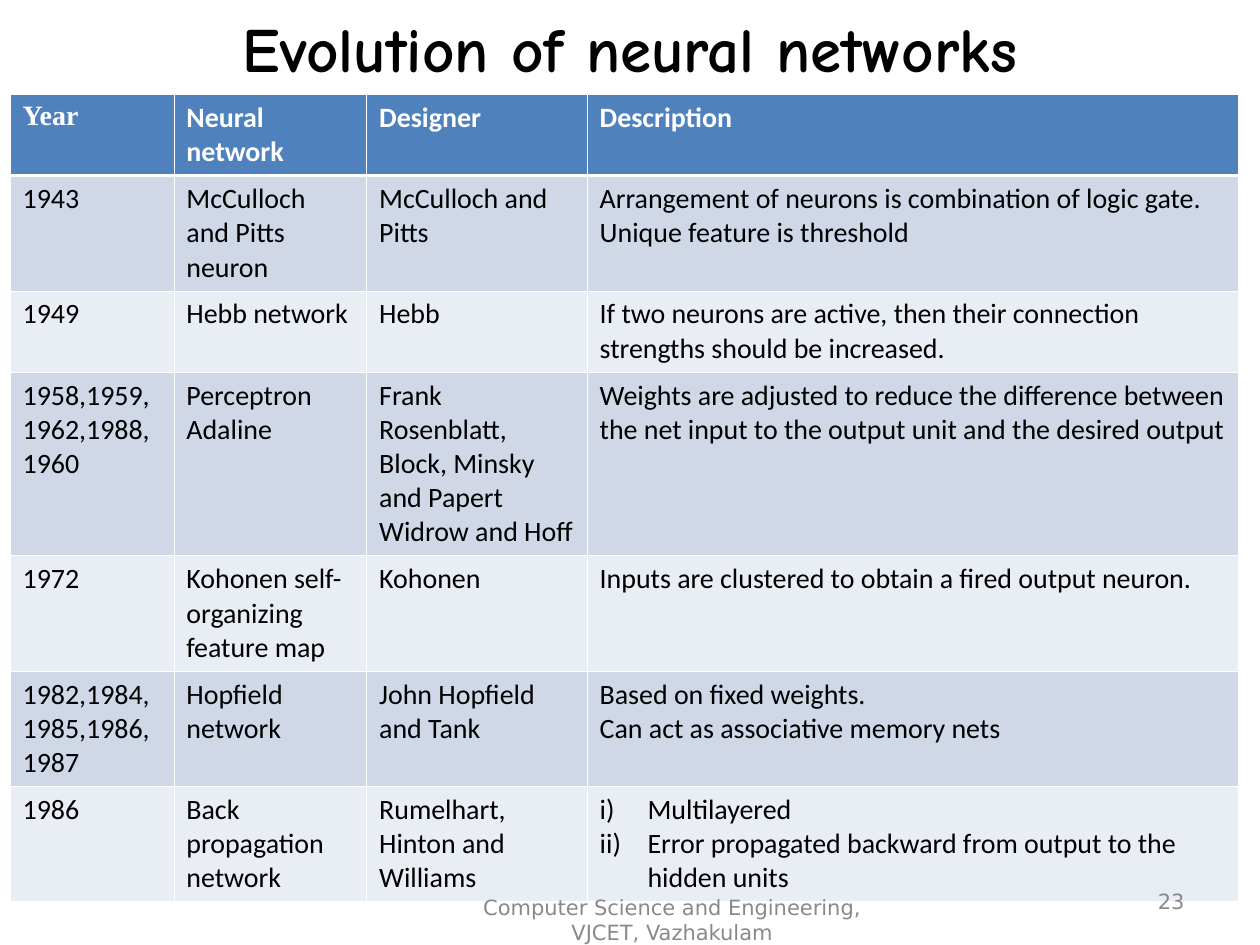
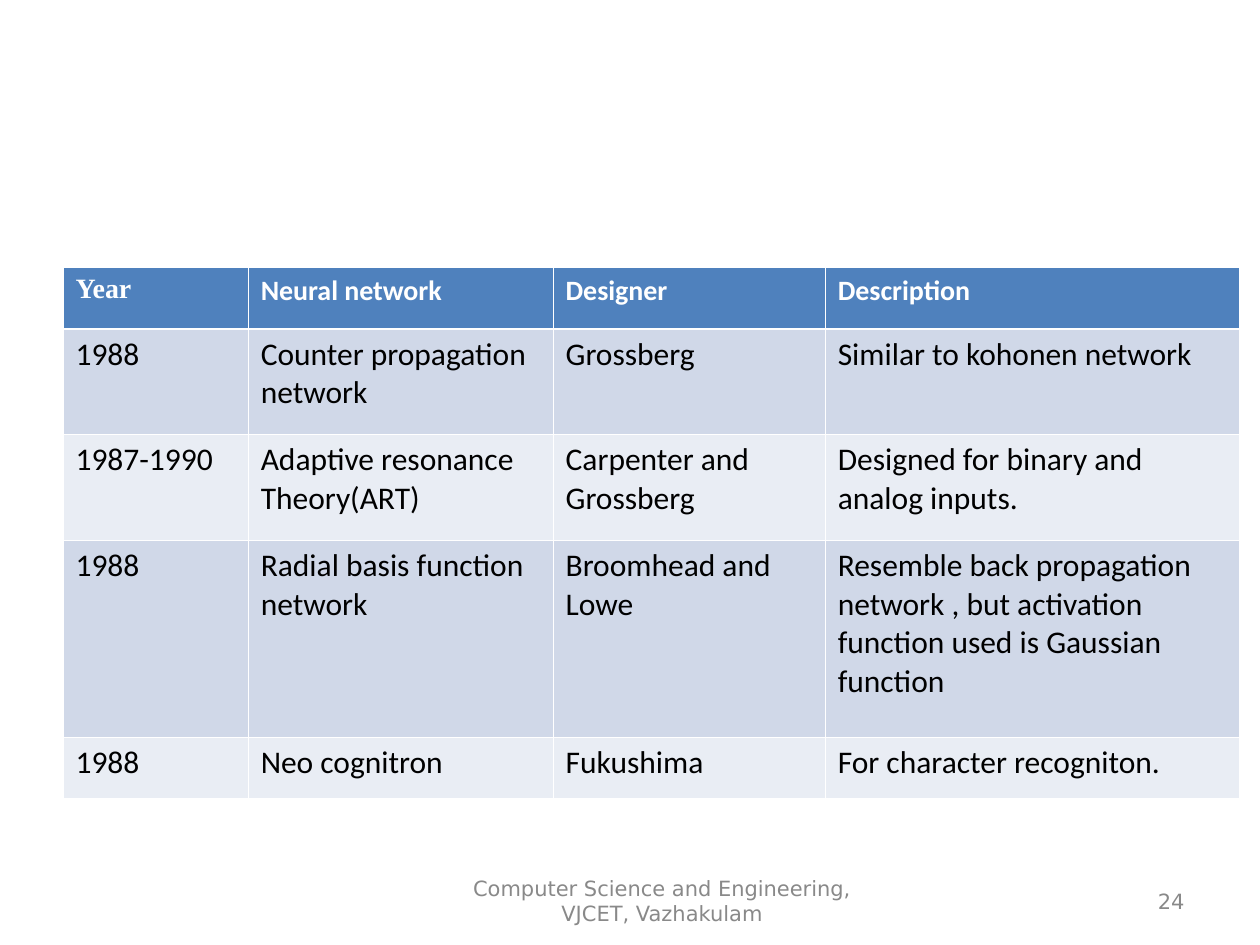
from lxml import etree
from pptx import Presentation
from pptx.dml.color import RGBColor
from pptx.enum import text
from pptx.oxml import ns
from pptx.util import Inches, Pt

COLORS = {
    "title": "000000",
    "header": "4F81BD",
    "header_text": "FFFFFF",
    "band_dark": "D0D8E8",
    "band_light": "E9EDF4",
    "body_text": "000000",
    "border": "FFFFFF",
    "footer": "898989",
}
TITLE_FONT, BODY_FONT, YEAR_FONT, FOOTER_FONT = (
    "Comic Neue", "Calibri", "Times New Roman", "DejaVu Sans")
HEADER_SIZE = 16
THIN, THICK = 0.45, 1.47
FOOTER = "Computer Science and Engineering, VJCET, Vazhakulam"
HEADINGS = ("Year", "Neural network", "Designer", "Description")

# A line break separates paragraphs; a tuple is a numbered list.
EARLY_NETWORKS = [
    ("1943", "McCulloch and Pitts neuron", "McCulloch and Pitts",
     "Arrangement of neurons is combination of logic gate. "
     "Unique feature is threshold"),
    ("1949", "Hebb network", "Hebb",
     "If two neurons are active, then their connection strengths "
     "should be increased."),
    ("1958,1959,1962,1988,1960", "Perceptron\nAdaline",
     "Frank Rosenblatt, Block, Minsky and Papert Widrow and Hoff",
     "Weights are adjusted to reduce the difference between the net input "
     "to the output unit and the desired output"),
    ("1972", "Kohonen self-organizing feature map", "Kohonen",
     "Inputs are clustered to obtain a fired output neuron."),
    ("1982,1984,\n1985,1986,1987", "Hopfield network",
     "John Hopfield and Tank",
     "Based on fixed weights.\nCan act as associative memory nets"),
    ("1986", "Back propagation network", "Rumelhart, Hinton and Williams",
     ("Multilayered",
      "Error propagated backward from output to the hidden units")),
]
LATER_NETWORKS = [
    ("1988", "Counter propagation network", "Grossberg",
     "Similar to kohonen network"),
    ("1987-1990", "Adaptive resonance Theory(ART)",
     "Carpenter and Grossberg", "Designed for binary and analog inputs."),
    ("1988", "Radial basis function network", "Broomhead and Lowe",
     "Resemble back propagation network , but activation function used is "
     "Gaussian function"),
    ("1988", "Neo cognitron", "Fukushima", "For character recogniton."),
]


def rgb(name):
    return RGBColor.from_string(COLORS[name])


def format_text(frame, font_name, size, color, bold=False, align=None):
    for paragraph in frame.paragraphs:
        paragraph.alignment = align
        for run in paragraph.runs:
            run.font.name = font_name
            run.font.size = Pt(size)
            run.font.bold = bold
            run.font.color.rgb = rgb(color)


def number_paragraphs(frame):
    """Give each paragraph a hanging lower-case Roman number."""
    for paragraph in frame.paragraphs:
        properties = paragraph._p.get_or_add_pPr()
        properties.set("marL", str(Inches(0.38)))
        properties.set("indent", str(-Inches(0.38)))
        etree.SubElement(properties, ns.qn("a:buAutoNum"), type="romanLcParenR")


def draw_borders(cell, **widths):
    """Draw the four cell edges; call before the cell gets its fill."""
    properties = cell._tc.get_or_add_tcPr()
    for edge in "LRTB":
        width = Pt(widths.get(edge, THIN))
        line = etree.SubElement(properties, ns.qn(f"a:ln{edge}"), w=str(width))
        fill = etree.SubElement(line, ns.qn("a:solidFill"))
        etree.SubElement(fill, ns.qn("a:srgbClr"), val=COLORS["border"])


def fill_cell(cell, content, fill):
    cell.fill.solid()
    cell.fill.fore_color.rgb = rgb(fill)
    numbered = isinstance(content, tuple)
    cell.text_frame.text = "\n".join(content) if numbered else content
    if numbered:
        number_paragraphs(cell.text_frame)


def add_network_table(slide, networks, left, top, columns, rows, body_size):
    table = slide.shapes.add_table(
        len(rows), len(columns), Inches(left), Inches(top),
        Inches(sum(columns)), Inches(sum(rows))).table
    for column, width in zip(table.columns, columns):
        column.width = Inches(width)
    for row, height in zip(table.rows, rows):
        row.height = Inches(height)

    for cell, heading in zip(table.rows[0].cells, HEADINGS):
        draw_borders(cell, B=THICK)
        fill_cell(cell, heading, "header")
        font_name = YEAR_FONT if heading == "Year" else BODY_FONT
        format_text(cell.text_frame, font_name, HEADER_SIZE, "header_text", bold=True)

    for number, network in enumerate(networks, start=1):
        band = "band_dark" if number % 2 else "band_light"
        for cell, content in zip(table.rows[number].cells, network):
            draw_borders(cell, T=THICK if number == 1 else THIN)
            fill_cell(cell, content, band)
            format_text(cell.text_frame, BODY_FONT, body_size, "body_text")


def add_title(slide, wording):
    title = slide.shapes.title
    title.left, title.top = Inches(0.5), Inches(0)
    title.width, title.height = Inches(9), Inches(0.75)
    frame = title.text_frame
    frame.text = wording
    frame.auto_size = text.MSO_AUTO_SIZE.NONE
    frame.vertical_anchor = text.MSO_ANCHOR.MIDDLE
    format_text(frame, TITLE_FONT, 36, "title", True, text.PP_ALIGN.CENTER)


def add_footer_text(slide, wording, left, top, width, align):
    box = slide.shapes.add_textbox(
        Inches(left), Inches(top), Inches(width), Inches(0.4))
    frame = box.text_frame
    frame.word_wrap = True
    frame.vertical_anchor = text.MSO_ANCHOR.MIDDLE
    frame.text = wording
    format_text(frame, FOOTER_FONT, 12, "footer", align=align)


def add_footer(slide, page, left, top):
    add_footer_text(slide, str(page), 7.17, 6.95, 2.33, text.PP_ALIGN.RIGHT)
    add_footer_text(slide, FOOTER, left, top, 3.67, text.PP_ALIGN.CENTER)


def main():
    deck = Presentation()
    deck.slide_width, deck.slide_height = Inches(10), Inches(7.5)
    title_only, blank = deck.slide_layouts[5], deck.slide_layouts[6]

    early = deck.slides.add_slide(title_only)
    add_title(early, "Evolution of neural networks")
    add_network_table(
        early, EARLY_NETWORKS, 0.08, 0.75, columns=(1.3, 1.53, 1.75, 5.17),
        rows=(0.64, 0.9, 0.64, 1.44, 0.9, 0.9, 0.9), body_size=16)
    add_footer(early, 23, 3.5, 7.1)

    later = deck.slides.add_slide(blank)
    add_network_table(
        later, LATER_NETWORKS, 0.5, 2.12, columns=(1.47, 2.42, 2.16, 3.29),
        rows=(0.49, 0.84, 0.84, 1.56, 0.49), body_size=18)
    add_footer(later, 24, 3.42, 6.95)

    deck.save("out.pptx")


if __name__ == "__main__":
    main()
